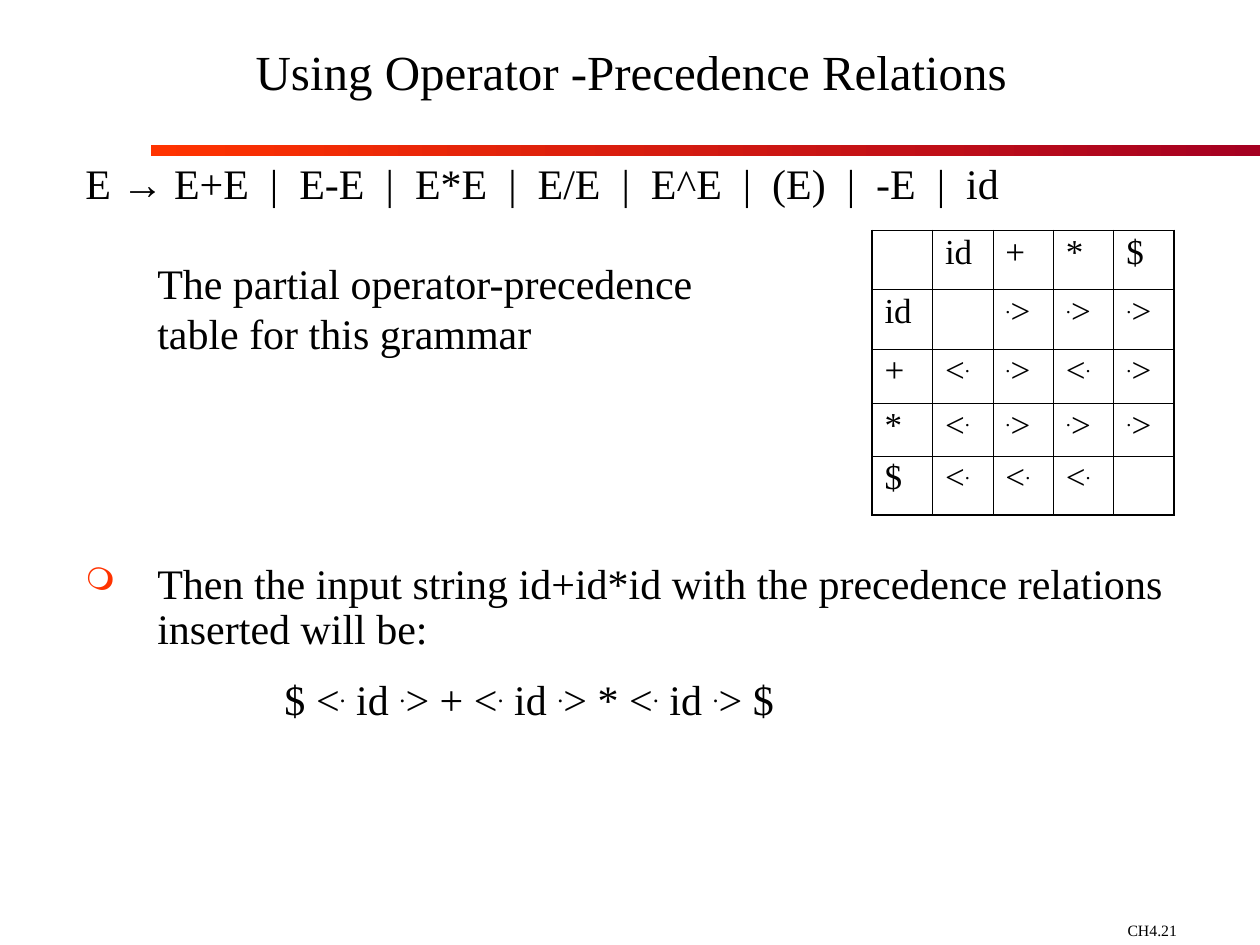
"""Build a slide on using operator-precedence relations."""
from dataclasses import dataclass
from typing import NamedTuple

from lxml.etree import SubElement
from pptx import Presentation
from pptx.dml.color import RGBColor
from pptx.enum.shapes import MSO_SHAPE as Shape
from pptx.enum.text import MSO_ANCHOR as Anchor, PP_ALIGN as Align
from pptx.oxml.ns import qn
from pptx.util import Inches, Pt


@dataclass(frozen=True)
class Theme:
    font: str = "Times New Roman"
    symbol_font: str = "Arial"
    ink: str = "000000"
    accent: str = "FF3300"
    accent_dark: str = "A50021"
    title_size: float = 28
    body_size: float = 24
    table_size: float = 20
    footer_size: float = 9
    title_spacing: float = 0.8
    line_spacing: float = 0.89
    thin: float = 0.45
    thick: float = 1.08


class Line(NamedTuple):
    text: str
    before: float = 0
    margin: float = 0.57
    hanging: float = 0
    bullet: str = ""


class Box(NamedTuple):
    left: float
    top: float
    width: float
    height: float


THEME = Theme()
BODY = [
    Line("E → E+E  |  E-E  |  E*E  |  E/E  |  E^E  |  (E)  |  -E  |  id", hanging=0.57),
    Line("The partial operator-precedence", before=31.7),
    Line("table for this grammar", before=3),
    Line("Then the input string id+id*id with the precedence relations inserted will be:",
         before=117, hanging=0.57, bullet="❍"),
    Line("$ <. id .> + <. id .> * <. id .> $", before=15, margin=1.58),
]
RELATIONS = [
    ["", "id", "+", "*", "$"],
    ["id", "", ".>", ".>", ".>"],
    ["+", "<.", ".>", "<.", ".>"],
    ["*", "<.", ".>", ".>", ".>"],
    ["$", "<.", "<.", "<.", ""],
]
ROW_HEIGHTS = [0.47, 0.47, 0.43, 0.42, 0.47]
COLUMN_WIDTH = 0.48


def add_run(paragraph, text: str, *, size: float, font: str = THEME.font, raised: bool = False) -> None:
    run = paragraph.add_run()
    run.text = text
    run.font.name = font
    run.font.size = Pt(size)
    run.font.color.rgb = RGBColor.from_string(THEME.ink)
    if raised:
        run._r.get_or_add_rPr().set("baseline", "30000")


def write(paragraph, text: str, *, size: float, spacing: float = 1, align=Align.LEFT,
          raise_dots: bool = True) -> None:
    paragraph.alignment = align
    paragraph.line_spacing = spacing
    specials = "→." if raise_dots else "→"
    piece = ""
    for letter in text:
        if letter not in specials:
            piece += letter
            continue
        if piece:
            add_run(paragraph, piece, size=size)
        font = THEME.symbol_font if letter == "→" else THEME.font
        add_run(paragraph, letter, size=size, font=font, raised=letter == ".")
        piece = ""
    if piece:
        add_run(paragraph, piece, size=size)


def add_text_frame(slide, box: Box, anchor=Anchor.TOP):
    frame = slide.shapes.add_textbox(*map(Inches, box)).text_frame
    frame.word_wrap = True
    frame.vertical_anchor = anchor
    return frame


def add_bullet(paragraph, character: str) -> None:
    properties = paragraph._p.get_or_add_pPr()
    color = SubElement(properties, qn("a:buClr"))
    SubElement(color, qn("a:srgbClr"), val=THEME.accent)
    SubElement(properties, qn("a:buSzPct"), val="75000")
    SubElement(properties, qn("a:buChar"), char=character)


def add_body(slide, box: Box, lines: list[Line]) -> None:
    frame = add_text_frame(slide, box)
    for index, line in enumerate(lines):
        paragraph = frame.add_paragraph() if index else frame.paragraphs[0]
        write(paragraph, line.text, size=THEME.body_size, spacing=THEME.line_spacing)
        if line.before:
            paragraph.space_before = Pt(line.before)
        properties = paragraph._p.get_or_add_pPr()
        properties.set("marL", str(Inches(line.margin)))
        properties.set("indent", str(-Inches(line.hanging)))
        if line.bullet:
            add_bullet(paragraph, line.bullet)


def add_rule(slide, box: Box) -> None:
    shape = slide.shapes.add_shape(Shape.RECTANGLE, *map(Inches, box))
    shape.shadow.inherit = False
    shape.line.fill.background()
    shape.fill.gradient()
    shape.fill.gradient_angle = 0
    for stop, position, color in zip(shape.fill.gradient_stops, (0, 1), (THEME.accent, THEME.accent_dark)):
        stop.position = position
        stop.color.rgb = RGBColor.from_string(color)


def set_border(cell, side: str, width: float) -> None:
    line = SubElement(cell._tc.get_or_add_tcPr(), qn(f"a:ln{side}"), w=str(Pt(width)))
    fill = SubElement(line, qn("a:solidFill"))
    SubElement(fill, qn("a:srgbClr"), val=THEME.ink)


def add_relation_table(slide, left: float, top: float, relations: list[list[str]]) -> None:
    count = len(relations)
    box = Box(left, top, COLUMN_WIDTH * count, sum(ROW_HEIGHTS))
    table = slide.shapes.add_table(count, count, *map(Inches, box)).table
    table.first_row = table.horz_banding = False
    last = count - 1
    for index, height in enumerate(ROW_HEIGHTS):
        table.rows[index].height = Inches(height)
        table.columns[index].width = Inches(COLUMN_WIDTH)
    for row, values in enumerate(relations):
        for column, value in enumerate(values):
            cell = table.cell(row, column)
            outer = {"L": column == 0, "R": column == last, "T": row == 0, "B": row == last}
            for side, is_outer in outer.items():
                set_border(cell, side, THEME.thick if is_outer else THEME.thin)
            cell.fill.background()
            cell.margin_left = cell.margin_right = Inches(0.1)
            cell.margin_top = cell.margin_bottom = Inches(0.05)
            if value:
                write(cell.text_frame.paragraphs[0], value, size=THEME.table_size,
                      spacing=THEME.line_spacing)


def main() -> None:
    presentation = Presentation()
    presentation.slide_width, presentation.slide_height = Inches(10), Inches(7.5)
    slide = presentation.slides.add_slide(presentation.slide_layouts[6])
    add_rule(slide, Box(1.2, 1.15, 8.8, 0.09))
    footer = add_text_frame(slide, Box(8.85, 7.26, 1.15, 0.24))
    write(footer.paragraphs[0], "CH4.21", size=THEME.footer_size, raise_dots=False)
    title = add_text_frame(slide, Box(0.6, 0, 8.82, 1.22), Anchor.MIDDLE)
    write(title.paragraphs[0], "Using Operator -Precedence Relations", size=THEME.title_size,
          spacing=THEME.title_spacing, align=Align.CENTER)
    add_body(slide, Box(0.58, 1.25, 8.83, 5.82), BODY)
    add_relation_table(slide, 6.92, 1.83, RELATIONS)
    presentation.save("out.pptx")


if __name__ == "__main__":
    main()
